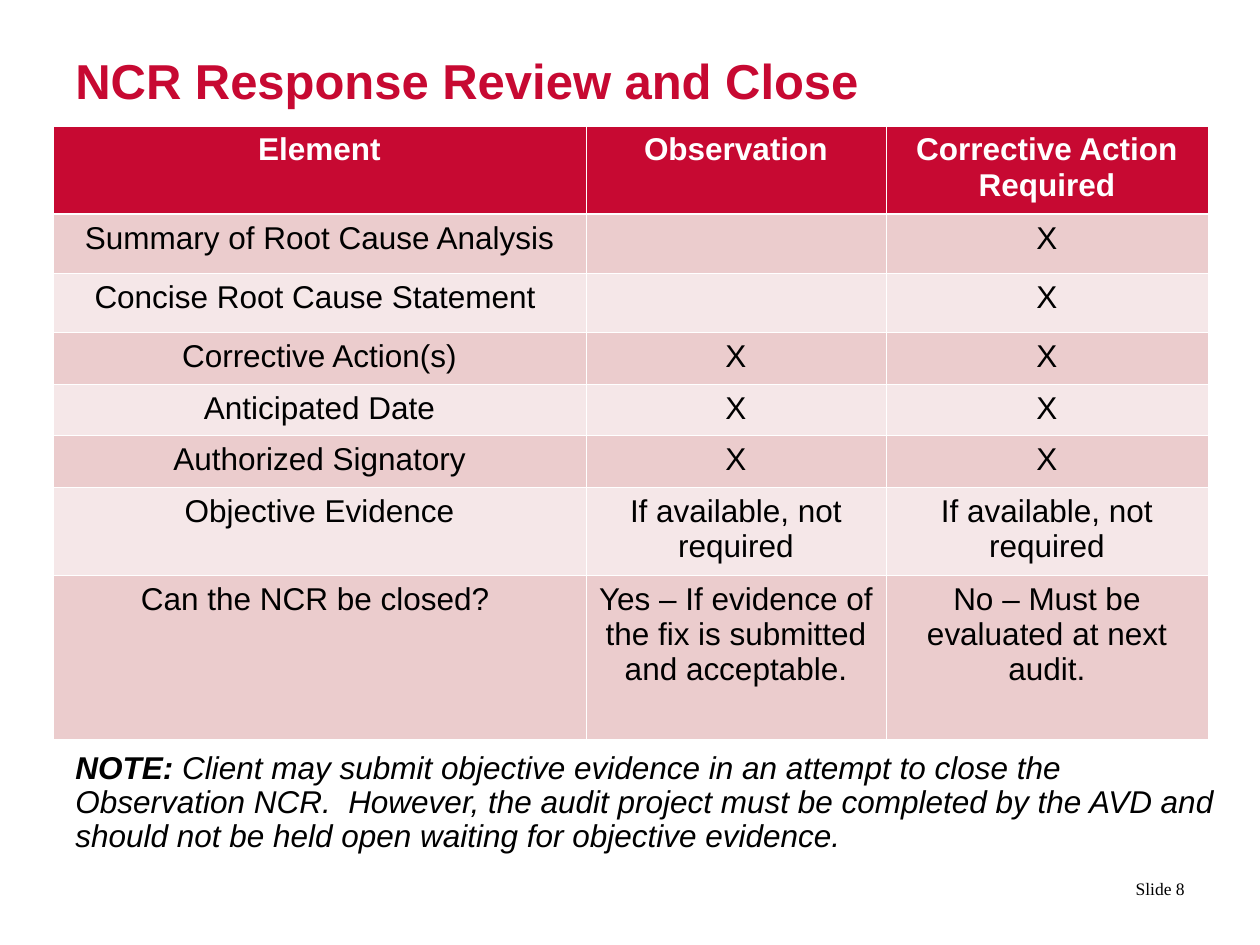
from dataclasses import dataclass

from lxml import etree
from pptx import Presentation
from pptx.dml.color import RGBColor
from pptx.enum.text import MSO_ANCHOR, PP_ALIGN
from pptx.oxml.ns import qn
from pptx.util import Emu, Pt

LEFT, CENTER, RIGHT = PP_ALIGN.LEFT, PP_ALIGN.CENTER, PP_ALIGN.RIGHT
TOP, MIDDLE = MSO_ANCHOR.TOP, MSO_ANCHOR.MIDDLE
EMU_PER_PX = 914400 / 126


@dataclass(frozen=True)
class Theme:
    """Colours, fonts and type sizes of the slide."""
    accent: str = "C70932"
    band_dark: str = "EBCCCD"
    band_light: str = "F5E7E8"
    white: str = "FFFFFF"
    black: str = "000000"
    sans: str = "Arial"
    serif: str = "Times New Roman"
    title_size: int = 28
    body_size: int = 18
    number_size: int = 10
    thin_line: float = 0.45
    header_line: float = 1.47


THEME = Theme()
COLUMN_WIDTHS = (533, 300, 322)
ROW_HEIGHTS = (88, 59, 59, 52, 51, 52, 88, 164)
HEADER = ("Element", "Observation", "Corrective Action Required")
ROWS = (
    ("Summary of Root Cause Analysis", "", "X"),
    ("Concise Root Cause Statement ", "", "X"),
    ("Corrective Action(s)", "X", "X"),
    ("Anticipated Date", "X", "X"),
    ("Authorized Signatory", "X", "X"),
    ("Objective Evidence", "If available, not required", "If available, not required"),
    ("Can the NCR be closed? ", "Yes – If evidence of the fix is submitted and acceptable.",
     "No – Must be evaluated at next audit."),
)
NOTE = ("NOTE:", " Client may submit objective evidence in an attempt to close "
        "the Observation NCR.  However, the audit project must be completed by the AVD "
        "and should not be held open waiting for objective evidence.")


def px(length):
    """Turn a length in px into EMU."""
    return Emu(round(length * EMU_PER_PX))


def add_run(paragraph, text, size, color, name=THEME.sans, bold=False, italic=False):
    """Add one formatted run to a paragraph."""
    run = paragraph.add_run()
    run.text = text
    font = run.font
    font.name, font.size, font.bold, font.italic = name, Pt(size), bold, italic
    font.color.rgb = RGBColor.from_string(color)


def add_text_box(slide, box, alignment=LEFT, anchor=TOP, inset_top=6):
    """Add a wrapping text box and return its first paragraph."""
    frame = slide.shapes.add_textbox(*map(px, box)).text_frame
    frame.word_wrap = True
    frame.vertical_anchor = anchor
    frame.margin_top = px(inset_top)
    paragraph = frame.paragraphs[0]
    paragraph.alignment = alignment
    return paragraph


def add_title(slide, box):
    """Place the slide title."""
    paragraph = add_text_box(slide, box, inset_top=13)
    add_run(paragraph, "NCR Response Review and Close", THEME.title_size, THEME.accent, bold=True)


def add_note(slide, box):
    """Place the note with its bold lead-in."""
    paragraph = add_text_box(slide, box)
    paragraph.line_spacing = 0.9
    for text, bold in zip(NOTE, (True, False)):
        add_run(paragraph, text, THEME.body_size, THEME.black, bold=bold, italic=True)


def add_slide_number(slide, box):
    """Place the slide number."""
    paragraph = add_text_box(slide, box, RIGHT, MIDDLE)
    add_run(paragraph, "Slide 8", THEME.number_size, THEME.black, THEME.serif)


def set_borders(cell, row_index):
    """Draw white cell borders, heavier between header and body."""
    heavy_side = {0: "lnB", 1: "lnT"}.get(row_index)
    properties = cell._tc.get_or_add_tcPr()
    for side in ("lnL", "lnR", "lnT", "lnB"):
        width = THEME.header_line if side == heavy_side else THEME.thin_line
        line = etree.SubElement(properties, qn(f"a:{side}"), w=str(int(Pt(width))))
        fill = etree.SubElement(line, qn("a:solidFill"))
        etree.SubElement(fill, qn("a:srgbClr"), val=THEME.white)


def fill_cell(cell, text, row_index):
    """Style one cell by its row and write its text."""
    is_header = row_index == 0
    band = THEME.band_dark if row_index % 2 else THEME.band_light
    set_borders(cell, row_index)
    cell.fill.solid()
    cell.fill.fore_color.rgb = RGBColor.from_string(THEME.accent if is_header else band)
    paragraph = cell.text_frame.paragraphs[0]
    paragraph.alignment = CENTER
    if text:
        color = THEME.white if is_header else THEME.black
        add_run(paragraph, text, THEME.body_size, color, bold=is_header)


def add_review_table(slide, left, top):
    """Place the table of response elements."""
    rows = (HEADER, *ROWS)
    table = slide.shapes.add_table(
        len(rows), len(HEADER), px(left), px(top),
        px(sum(COLUMN_WIDTHS)), px(sum(ROW_HEIGHTS))).table
    for column, width in zip(table.columns, COLUMN_WIDTHS):
        column.width = px(width)
    for row_index, (row, height, texts) in enumerate(zip(table.rows, ROW_HEIGHTS, rows)):
        row.height = px(height)
        for cell, text in zip(row.cells, texts):
            fill_cell(cell, text, row_index)


def main():
    """Build and save the slide."""
    presentation = Presentation()
    presentation.slide_width, presentation.slide_height = px(1260), px(945)
    slide = presentation.slides.add_slide(presentation.slide_layouts[6])
    add_title(slide, (63, 38, 1134, 98))
    add_note(slide, (63, 746, 1176, 120))
    add_slide_number(slide, (1109, 864, 88, 50))
    add_review_table(slide, 53, 126)
    presentation.save("out.pptx")


if __name__ == "__main__":
    main()
